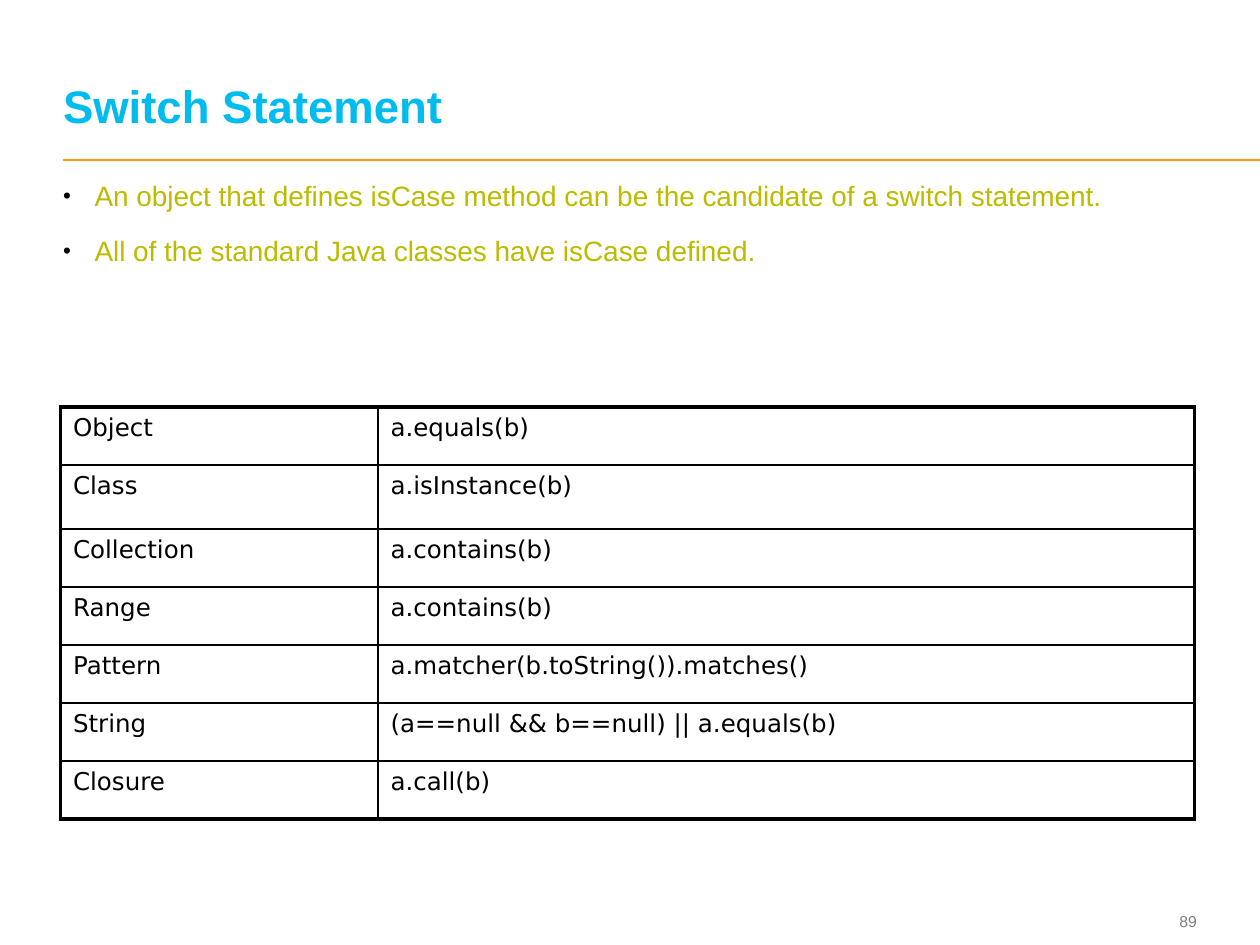
from lxml import etree
from pptx import Presentation, util as u
from pptx.dml.color import RGBColor
from pptx.enum import shapes, text
from pptx.oxml import ns

WIDTH, HEIGHT = 10, 7.5
LEFT = 0.5
THIN, THICK = 1, 2.25
TITLE_FONT = {"name": "Arial", "size": u.Pt(26), "bold": True}
BODY_FONT = {"name": "Arial", "size": u.Pt(16), "bold": False}
CELL_FONT = {"name": "DejaVu Sans", "size": u.Pt(14), "bold": False}
NUMBER_FONT = {"name": "Arial", "size": u.Pt(9), "bold": False}
BULLETS = [
    "An object that defines isCase method can be the candidate of a switch statement.",
    "All of the standard Java classes have isCase defined.",
]
CASES = [
    ("Object", "a.equals(b)"),
    ("Class", "a.isInstance(b)"),
    ("Collection", "a.contains(b)"),
    ("Range", "a.contains(b)"),
    ("Pattern", "a.matcher(b.toString()).matches()"),
    ("String", "(a==null && b==null) || a.equals(b)"),
    ("Closure", "a.call(b)"),
]


def color(value):
    return RGBColor.from_string(value)


def add_element(parent, tag, **attributes):
    return etree.SubElement(parent, ns.qn(tag), attributes)


def set_values(target, values):
    for name, value in values.items():
        setattr(target, name, value)


def set_font(paragraph, values, value):
    set_values(paragraph.font, values)
    paragraph.font.color.rgb = color(value)


def place(shape, left, top, width, height):
    box = dict(left=left, top=top, width=width, height=height)
    set_values(shape, {name: u.Inches(length) for name, length in box.items()})


def prepare_frame(shape, anchor):
    frame = shape.text_frame
    set_values(frame, {
        "margin_left": 0, "margin_top": 0, "margin_right": 0, "margin_bottom": 0,
        "word_wrap": True, "auto_size": text.MSO_AUTO_SIZE.NONE,
        "vertical_anchor": anchor,
    })
    return frame


def fill_title(shape, words):
    place(shape, LEFT, 0.19, 8.97, 0.86)
    frame = prepare_frame(shape, text.MSO_ANCHOR.BOTTOM)
    frame.text = words
    paragraph = frame.paragraphs[0]
    set_values(paragraph, {"alignment": text.PP_ALIGN.LEFT, "line_spacing": u.Pt(26)})
    set_font(paragraph, TITLE_FONT, "00BBEE")


def add_bullet(paragraph):
    properties = paragraph._p.get_or_add_pPr()
    indent = u.Inches(0.25)
    properties.set("marL", str(indent))
    properties.set("indent", str(-indent))
    bullet_color = add_element(properties, "a:buClr")
    add_element(bullet_color, "a:srgbClr", val="000000")
    add_element(properties, "a:buSzPct", val="80000")
    add_element(properties, "a:buFont", typeface="Arial")
    add_element(properties, "a:buChar", char="•")


def fill_body(shape, lines):
    place(shape, LEFT, 1.42, 8.9, 1.64)
    frame = prepare_frame(shape, text.MSO_ANCHOR.TOP)
    frame.text = "\n".join(lines)
    for index, paragraph in enumerate(frame.paragraphs):
        add_bullet(paragraph)
        paragraph.space_before = u.Pt(12 if index else 0)
        set_font(paragraph, BODY_FONT, "BBBB00")


def add_rule(slide):
    ends = [u.Inches(length) for length in (LEFT, 1.27, WIDTH, 1.27)]
    rule = slide.shapes.add_connector(shapes.MSO_CONNECTOR.STRAIGHT, *ends)
    rule.line.color.rgb = color("FF9900")
    rule.line.width = u.Pt(1)
    add_element(rule._element.spPr, "a:effectLst")


def set_borders(cell, widths):
    properties = cell._tc.get_or_add_tcPr()
    for side, width in widths.items():
        line = add_element(properties, f"a:ln{side}", w=str(u.Pt(width)))
        fill = add_element(line, "a:solidFill")
        add_element(fill, "a:srgbClr", val="000000")


def add_case_table(slide, rows):
    columns = [2.52, 6.48]
    heights = [0.51 if index == 1 else 0.46 for index in range(len(rows))]
    box = [u.Inches(length) for length in (0.48, 3.23, sum(columns), sum(heights))]
    table = slide.shapes.add_table(len(rows), len(columns), *box).table
    set_values(table, {"first_row": False, "horz_banding": False})
    for column, width in zip(table.columns, columns):
        column.width = u.Inches(width)
    last_row, last_column = len(rows) - 1, len(columns) - 1
    for row, values in enumerate(rows):
        table.rows[row].height = u.Inches(heights[row])
        for column, words in enumerate(values):
            cell = table.cell(row, column)
            cell.text = words
            set_font(cell.text_frame.paragraphs[0], CELL_FONT, "000000")
            set_borders(cell, {
                "L": THIN if column else THICK,
                "R": THICK if column == last_column else THIN,
                "T": THIN if row else THICK,
                "B": THICK if row == last_row else THIN,
            })
            cell.fill.background()


def add_page_number(slide, number):
    box = [u.Inches(length) for length in (8.91, 7.18, 0.59, 0.27)]
    frame = prepare_frame(slide.shapes.add_textbox(*box), text.MSO_ANCHOR.MIDDLE)
    frame.text = number
    paragraph = frame.paragraphs[0]
    paragraph.alignment = text.PP_ALIGN.RIGHT
    set_font(paragraph, NUMBER_FONT, "7F7F7F")


def main():
    presentation = Presentation()
    set_values(presentation, {
        "slide_width": u.Inches(WIDTH), "slide_height": u.Inches(HEIGHT),
    })
    slide = presentation.slides.add_slide(presentation.slide_layouts[1])
    add_rule(slide)
    add_page_number(slide, "89")
    add_case_table(slide, CASES)
    fill_title(slide.shapes.title, "Switch Statement")
    fill_body(slide.placeholders[1], BULLETS)
    presentation.save("out.pptx")


if __name__ == "__main__":
    main()
